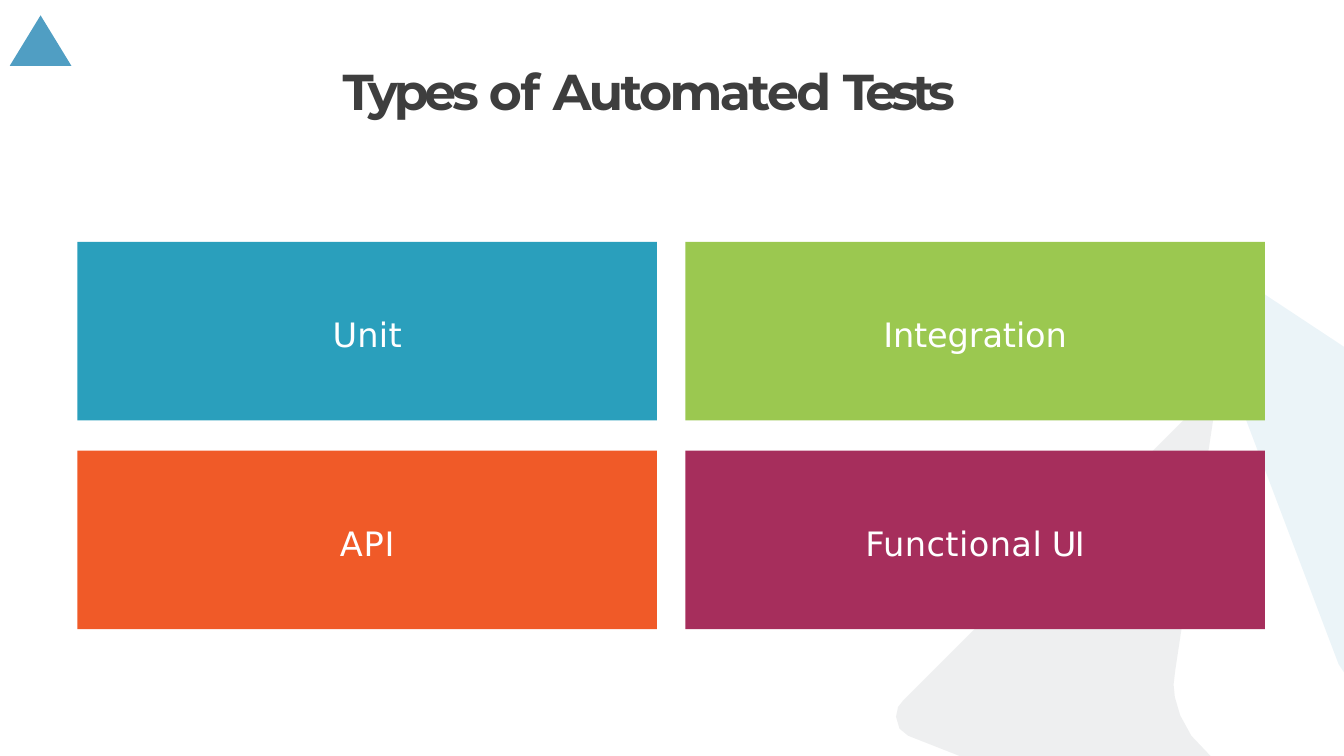
from lxml import etree
from pptx import Presentation
from pptx.dml.color import RGBColor
from pptx.enum.shapes import MSO_SHAPE
from pptx.enum.text import MSO_ANCHOR, PP_ALIGN
from pptx.oxml.ns import qn
from pptx.util import Pt

RECT = MSO_SHAPE.RECTANGLE
TRIANGLE = MSO_SHAPE.ISOSCELES_TRIANGLE
MIDDLE = MSO_ANCHOR.MIDDLE
LEFT, CENTER = PP_ALIGN.LEFT, PP_ALIGN.CENTER

BLUE, GREY = "509EC3", "66747C"
TITLE_FONT = {"name": "Montserrat", "size": Pt(36), "bold": True}
CARD_FONT = {"name": "DejaVu Sans", "size": Pt(24)}
TITLE = [("Types ", -3), ("of ", -1), ("Automated ", -1.8), ("Tests", -4.2)]
CARDS = [
    ([("Unit", 0.2)], "2A9FBC"),
    ([("Integration", -0.1)], "9BC850"),
    ([("API", 0.5)], "F05A28"),
    ([("Functional", 0.3), (" UI", -1)], "A62E5C"),
]
CARD_LEFT, CARD_TOP, CARD_W, CARD_H = 55.3, 172.8, 414, 127.5
STEP_X, STEP_Y = 434.2, 149.1

BLUE_PANEL = [(854.6, 179.3), (859.7, 181.4), (960, 247.7), (960, 480.2),
              (956.2, 474.5), (848.2, 189.4), (849, 182.5)]
GREY_PANEL = [(864, 285.8), (867, 287.5), (867.6, 293), (839.5, 478.8),
              (838.3, 489), (839.2, 498), (843, 511), (851, 525.6),
              (864.7, 540), (685.4, 540), (648.7, 525.6), (642.5, 520.5),
              (640, 512), (641.5, 505), (645.1, 500.4), (856.1, 289.4),
              (860, 286.8)]


def color(value):
    """Turn a hex string into a colour."""
    return RGBColor.from_string(value)


def paint(sp, fill, alpha=None):
    """Give a shape a flat fill with no line or shadow."""
    sp.shadow.inherit = False
    sp.line.fill.background()
    sp.fill.solid()
    sp.fill.fore_color.rgb = color(fill)
    if alpha is not None:
        clr = sp.fill._xPr.find(".//" + qn("a:srgbClr"))
        etree.SubElement(clr, qn("a:alpha")).set("val", str(alpha * 1000))


def add_panel(s, points, fill, alpha):
    """Draw a translucent background polygon."""
    start, *rest = [(Pt(x), Pt(y)) for x, y in points]
    builder = s.shapes.build_freeform(*start)
    builder.add_line_segments(rest)
    paint(builder.convert_to_shape(), fill, alpha)


def write(sp, parts, font, text_color, align, top=0):
    """Write one paragraph of letter-spaced runs, centred vertically."""
    tf = sp.text_frame
    frame = {"word_wrap": True, "vertical_anchor": MIDDLE, "margin_left": 0,
             "margin_right": 0, "margin_top": Pt(top), "margin_bottom": 0}
    for name, value in frame.items():
        setattr(tf, name, value)
    p = tf.paragraphs[0]
    p.alignment = align
    for text, spacing in parts:
        r = p.add_run()
        r.text = text
        for name, value in font.items():
            setattr(r.font, name, value)
        r.font.color.rgb = color(text_color)
        r._r.get_or_add_rPr().set("spc", str(round(spacing * 100)))


def add_card(s, index, parts, fill):
    """Place one test type in the two-column grid."""
    row, col = divmod(index, 2)
    sp = s.shapes.add_shape(RECT, Pt(CARD_LEFT + col * STEP_X),
                            Pt(CARD_TOP + row * STEP_Y), Pt(CARD_W), Pt(CARD_H))
    paint(sp, fill)
    write(sp, parts, CARD_FONT, "FFFFFF", CENTER, 4)


def main():
    """Build the slide and save it."""
    prs = Presentation()
    prs.slide_width, prs.slide_height = Pt(960), Pt(540)
    s = prs.slides.add_slide(prs.slide_layouts[6])
    add_panel(s, BLUE_PANEL, BLUE, 11)
    add_panel(s, GREY_PANEL, GREY, 11)
    mark = s.shapes.add_shape(TRIANGLE, Pt(7), Pt(11), Pt(44), Pt(36))
    paint(mark, BLUE)
    for index, (parts, fill) in enumerate(CARDS):
        add_card(s, index, parts, fill)
    title = s.shapes.add_textbox(Pt(244.8), Pt(41), Pt(463.7), Pt(45.4))
    write(title, TITLE, TITLE_FONT, "3E3E3E", LEFT, 1)
    prs.save("out.pptx")


if __name__ == "__main__":
    main()
